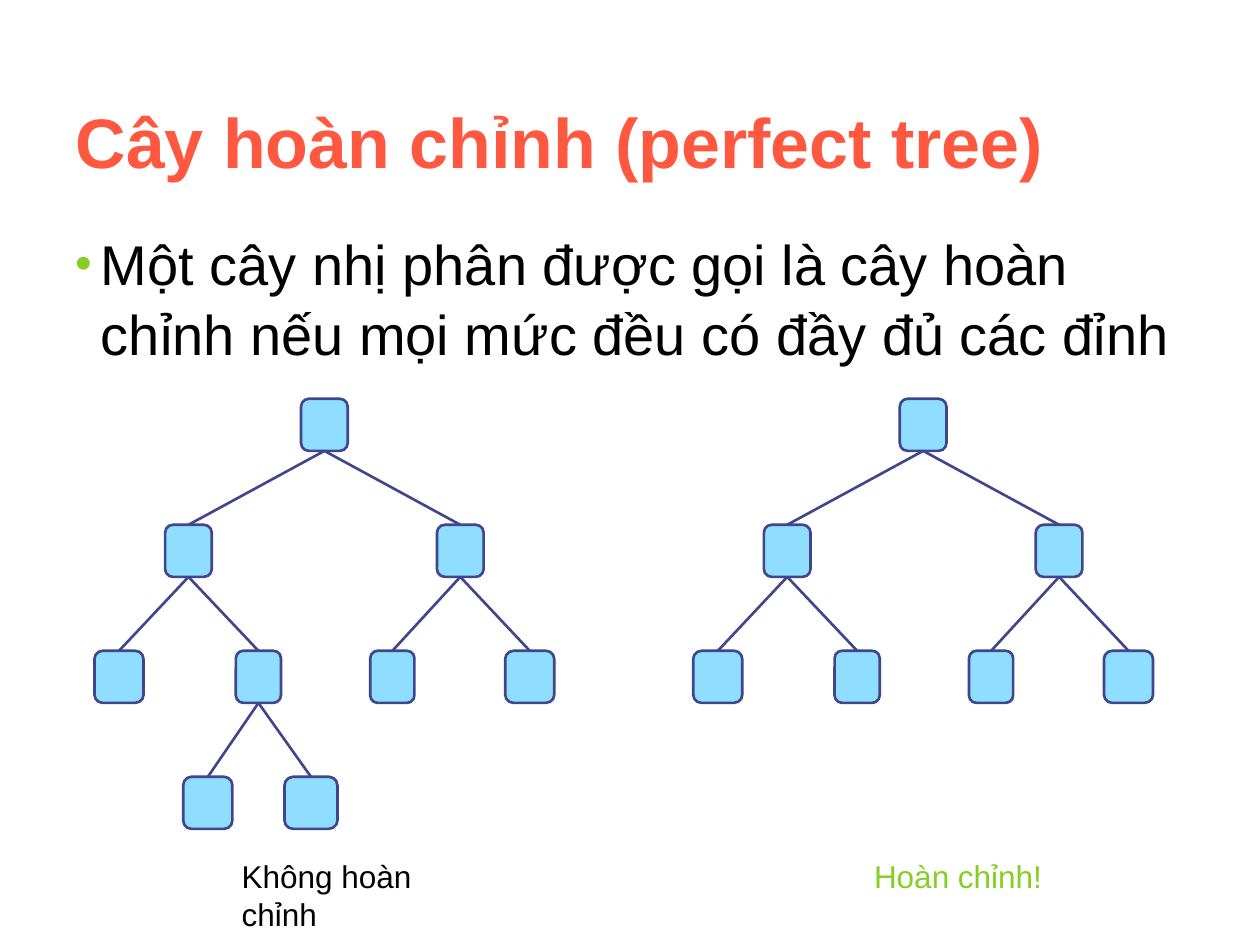
from dataclasses import dataclass

import lxml.etree
import pptx
import pptx.dml.color
import pptx.enum.shapes
import pptx.enum.text
import pptx.oxml.ns
import pptx.util
from pptx.util import Cm

COLORS = {
    "title": "FF5840",
    "text": "000000",
    "accent": "86CE24",
    "node": "8FDEFF",
    "outline": "40458C",
}
FONT = "Arial"
FIRST_LEVEL_TOP = 8.04
LEVEL_STEP = 2.54
NODE_HEIGHT = 1.05
OUTLINE_WIDTH = 1.5
CORNER = 0.167


@dataclass(frozen=True)
class Node:
    center: float
    width: float
    level: int
    parent: int | None = None


@dataclass(frozen=True)
class Caption:
    text: str
    left: float
    width: float
    color: str


PERFECT_TREE = [
    Node(6.54, 0.94, 0),
    Node(3.8, 0.94, 1, 0),
    Node(9.28, 0.94, 1, 0),
    Node(2.4, 0.99, 2, 1),
    Node(5.21, 0.91, 2, 1),
    Node(7.91, 0.89, 2, 2),
    Node(10.68, 0.99, 2, 2),
]
IMPERFECT_TREE = PERFECT_TREE + [
    Node(4.19, 0.99, 3, 4),
    Node(6.27, 1.07, 3, 4),
]
TREES = [(IMPERFECT_TREE, 0), (PERFECT_TREE, 12.07)]
CAPTIONS = [
    Caption("Không hoàn chỉnh", 4.62, 5.61, "text"),
    Caption("Hoàn chỉnh!", 17.37, 3.89, "accent"),
]


def color_of(name: str) -> pptx.dml.color.RGBColor:
    return pptx.dml.color.RGBColor.from_string(COLORS[name])


def place(box, left: float, top: float, width: float, height: float) -> None:
    box.left, box.top = Cm(left), Cm(top)
    box.width, box.height = Cm(width), Cm(height)


def write(box, text: str, size: int, color: str, bold: bool = False):
    para = box.text_frame.paragraphs[0]
    para.alignment = pptx.enum.text.PP_ALIGN.LEFT
    span = para.add_run()
    span.text = text
    span.font.name = FONT
    span.font.size = pptx.util.Pt(size)
    span.font.bold = bold
    span.font.color.rgb = color_of(color)
    return para


def set_bullet(para, symbol: str, color: str, percent: int, indent: float) -> None:
    properties = para._p.get_or_add_pPr()
    properties.set("marL", str(Cm(indent)))
    properties.set("indent", str(-Cm(indent)))
    qn = pptx.oxml.ns.qn
    bullet_color = lxml.etree.SubElement(properties, qn("a:buClr"))
    lxml.etree.SubElement(bullet_color, qn("a:srgbClr"), val=COLORS[color])
    lxml.etree.SubElement(properties, qn("a:buSzPct"), val=str(percent * 1000))
    lxml.etree.SubElement(properties, qn("a:buFont"), typeface=FONT)
    lxml.etree.SubElement(properties, qn("a:buChar"), char=symbol)


def style_outline(line) -> None:
    line.color.rgb = color_of("outline")
    line.width = pptx.util.Pt(OUTLINE_WIDTH)


def draw_node(group, node: Node, offset: float):
    shape = group.shapes.add_shape(
        pptx.enum.shapes.MSO_SHAPE.ROUNDED_RECTANGLE,
        Cm(offset + node.center - node.width / 2),
        Cm(FIRST_LEVEL_TOP + node.level * LEVEL_STEP),
        Cm(node.width),
        Cm(NODE_HEIGHT),
    )
    shape.adjustments[0] = CORNER
    shape.shadow.inherit = False
    shape.fill.solid()
    shape.fill.fore_color.rgb = color_of("node")
    style_outline(shape.line)
    return shape


def draw_edge(group, parent, child) -> None:
    edge = group.shapes.add_connector(
        pptx.enum.shapes.MSO_CONNECTOR.STRAIGHT, 0, 0, 0, 0
    )
    edge.begin_connect(parent, 2)
    edge.end_connect(child, 0)
    style_outline(edge.line)
    lxml.etree.SubElement(
        edge._element.spPr, pptx.oxml.ns.qn("a:effectLst")
    )


def draw_tree(page, nodes: list[Node], offset: float) -> None:
    group = page.shapes.add_group_shape()
    shapes = [draw_node(group, node, offset) for node in nodes]
    for node, shape in zip(nodes, shapes):
        if node.parent is not None:
            draw_edge(group, shapes[node.parent], shape)


def draw_caption(page, caption: Caption) -> None:
    box = page.shapes.add_textbox(
        Cm(caption.left), Cm(17.15), Cm(caption.width), Cm(1.02)
    )
    box.text_frame.word_wrap = False
    write(box, caption.text, 18, caption.color)


def main() -> None:
    deck = pptx.Presentation()
    deck.slide_width, deck.slide_height = Cm(25.4), Cm(19.05)
    page = deck.slides.add_slide(deck.slide_layouts[1])

    title = page.shapes.title
    place(title, 1.27, 1.47, 22.86, 2.74)
    title.text_frame.auto_size = pptx.enum.text.MSO_AUTO_SIZE.NONE
    title.text_frame.vertical_anchor = pptx.enum.text.MSO_ANCHOR.MIDDLE
    write(title, "Cây hoàn chỉnh (perfect tree)", 40, "title", bold=True)

    body = page.placeholders[1]
    place(body, 1.27, 4.45, 22.86, 13.54)
    body.text_frame.auto_size = pptx.enum.text.MSO_AUTO_SIZE.NONE
    para = write(
        body,
        "Một cây nhị phân được gọi là cây hoàn chỉnh nếu mọi mức đều có đầy đủ các đỉnh",
        32,
        "text",
    )
    para.space_before = pptx.util.Pt(8)
    para.line_spacing = 1.04
    set_bullet(para, "•", "accent", 85, 0.51)

    for nodes, offset in TREES:
        draw_tree(page, nodes, offset)
    for caption in CAPTIONS:
        draw_caption(page, caption)

    deck.save("out.pptx")


if __name__ == "__main__":
    main()
